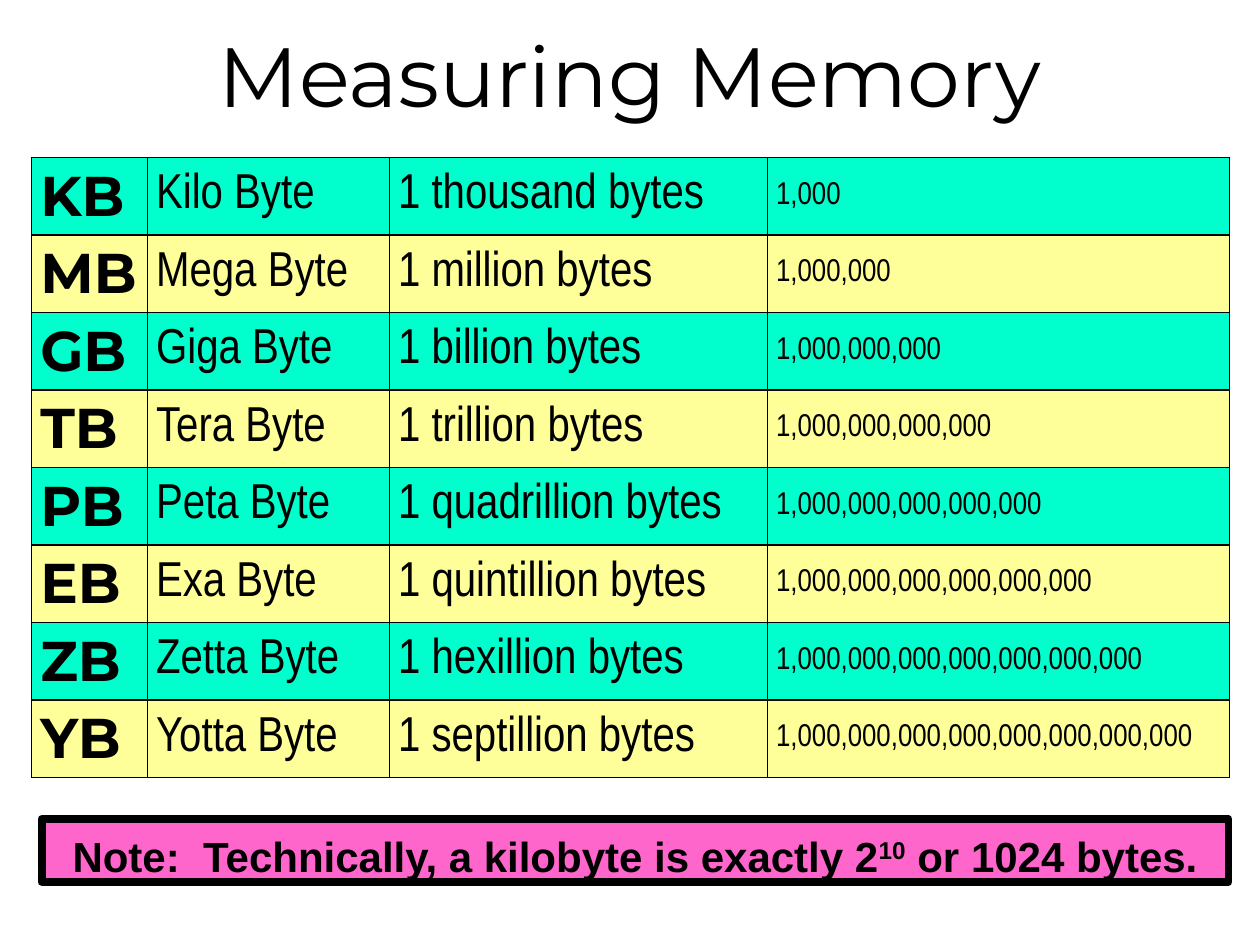
from lxml.etree import SubElement
from pptx import Presentation
from pptx.dml.color import RGBColor
from pptx.enum.shapes import MSO_SHAPE
from pptx.enum.text import MSO_ANCHOR, PP_ALIGN
from pptx.oxml.ns import qn
from pptx.util import Inches, Pt

TITLE = "Measuring Memory"
UNITS = [
    ("KB", "Kilo Byte", "1 thousand bytes", "1,000"),
    ("MB", "Mega Byte", "1 million bytes", "1,000,000"),
    ("GB", "Giga Byte", "1 billion bytes", "1,000,000,000"),
    ("TB", "Tera Byte", "1 trillion bytes", "1,000,000,000,000"),
    ("PB", "Peta Byte", "1 quadrillion bytes", "1,000,000,000,000,000"),
    ("EB", "Exa Byte", "1 quintillion bytes", "1,000,000,000,000,000,000"),
    ("ZB", "Zetta Byte", "1 hexillion bytes", "1,000,000,000,000,000,000,000"),
    ("YB", "Yotta Byte", "1 septillion bytes", "1,000,000,000,000,000,000,000,000"),
]
NOTE = [
    ("Note:  Technically, a kilobyte is exactly 2", False),
    ("10", True),
    (" or 1024 bytes.", False),
]
THEME = {
    "ink": "000000",
    "bands": ("00FFCC", "FFFF99"),
    "note_fill": "FF66CC",
    "title": ("Montserrat", 48, False),
    "note": ("Arial", 24, True),
    "columns": [
        ("Montserrat", 32, True),
        ("Arial Narrow", 28, False),
        ("Arial Narrow", 28, False),
        ("Arial Narrow", 18, False),
    ],
}
COLUMN_WIDTHS = (0.92, 1.92, 3, 3.67)
TABLE_HEIGHT = 4.92


def style(paragraph, look):
    font = paragraph.font
    font.name, size, font.bold = look
    font.size = Pt(size)
    font.color.rgb = RGBColor.from_string(THEME["ink"])


def add_borders(cell):
    properties = cell._tc.get_or_add_tcPr()
    for side in ("a:lnL", "a:lnR", "a:lnT", "a:lnB"):
        line = SubElement(properties, qn(side), w=str(Pt(1)))
        fill = SubElement(line, qn("a:solidFill"))
        SubElement(fill, qn("a:srgbClr"), val=THEME["ink"])


def add_title(page):
    title = page.shapes.title
    title.left, title.top = Inches(0), Inches(0.25)
    title.width, title.height = Inches(10), Inches(0.67)
    frame = title.text_frame
    frame.text = TITLE
    frame.vertical_anchor = MSO_ANCHOR.MIDDLE
    paragraph = frame.paragraphs[0]
    paragraph.alignment = PP_ALIGN.CENTER
    style(paragraph, THEME["title"])


def add_units(page):
    table = page.shapes.add_table(
        len(UNITS), len(COLUMN_WIDTHS),
        Inches(0.25), Inches(1.25), Inches(sum(COLUMN_WIDTHS)), Inches(TABLE_HEIGHT),
    ).table
    table.first_row = table.horz_banding = False
    for column, width in zip(table.columns, COLUMN_WIDTHS):
        column.width = Inches(width)
    for index, unit in enumerate(UNITS):
        table.rows[index].height = Inches(TABLE_HEIGHT / len(UNITS))
        band = THEME["bands"][index % 2]
        for cell, text, look in zip(table.rows[index].cells, unit, THEME["columns"]):
            cell.text = text
            cell.vertical_anchor = MSO_ANCHOR.MIDDLE
            cell.margin_left = cell.margin_right = Inches(0.07)
            cell.margin_top = cell.margin_bottom = 0
            style(cell.text_frame.paragraphs[0], look)
            add_borders(cell)
            cell.fill.solid()
            cell.fill.fore_color.rgb = RGBColor.from_string(band)


def add_note(page):
    box = page.shapes.add_shape(
        MSO_SHAPE.RECTANGLE, Inches(0.33), Inches(6.5), Inches(9.42), Inches(0.5))
    box.shadow.inherit = False
    box.fill.solid()
    box.fill.fore_color.rgb = RGBColor.from_string(THEME["note_fill"])
    box.line.color.rgb = RGBColor.from_string(THEME["ink"])
    box.line.width = Pt(4.5)
    frame = box.text_frame
    frame.word_wrap = True
    frame.vertical_anchor = MSO_ANCHOR.TOP
    paragraph = frame.paragraphs[0]
    paragraph.alignment = PP_ALIGN.CENTER
    paragraph.line_spacing = 1.1
    paragraph.space_before = Pt(4.8)
    style(paragraph, THEME["note"])
    for text, raised in NOTE:
        span = paragraph.add_run()
        span.text = text
        if raised:
            span._r.get_or_add_rPr().set("baseline", "30000")


def main():
    deck = Presentation()
    deck.slide_width, deck.slide_height = Inches(10), Inches(7.5)
    page = deck.slides.add_slide(deck.slide_layouts[5])
    add_title(page)
    add_note(page)
    add_units(page)
    deck.save("out.pptx")


if __name__ == "__main__":
    main()
